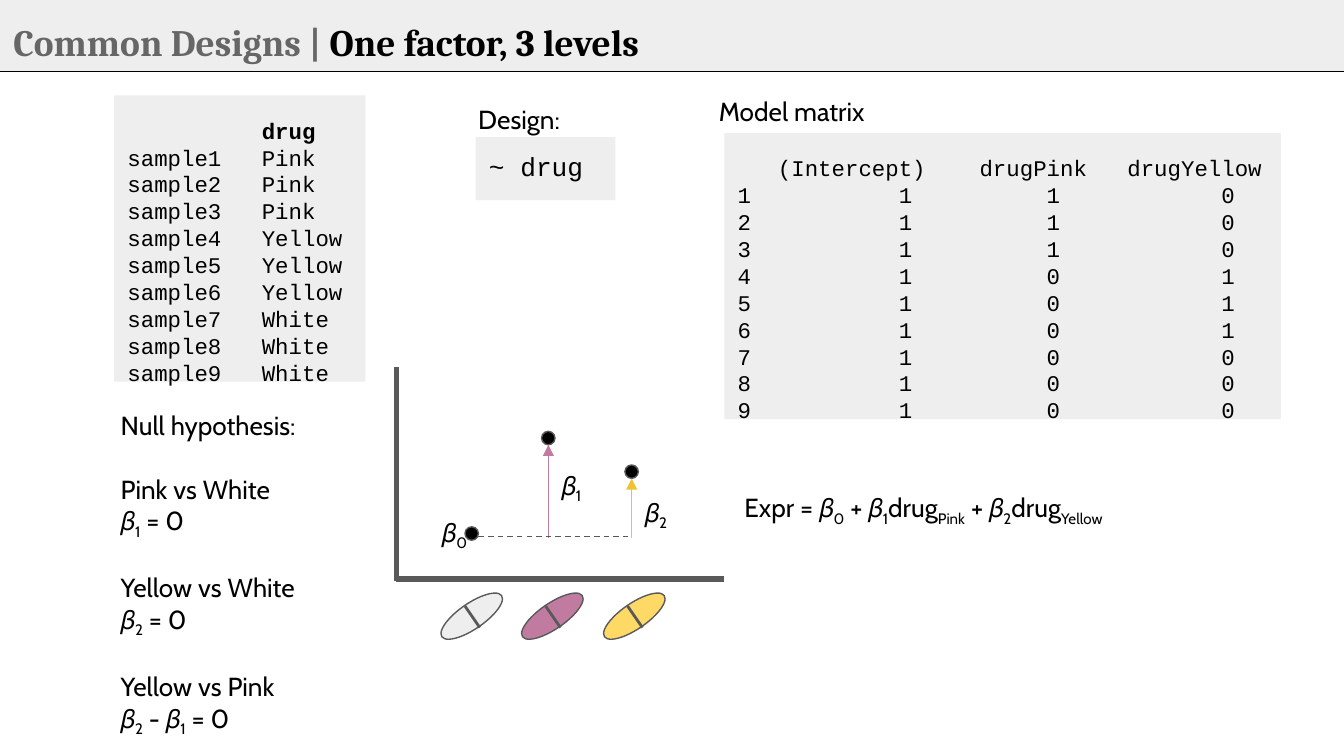
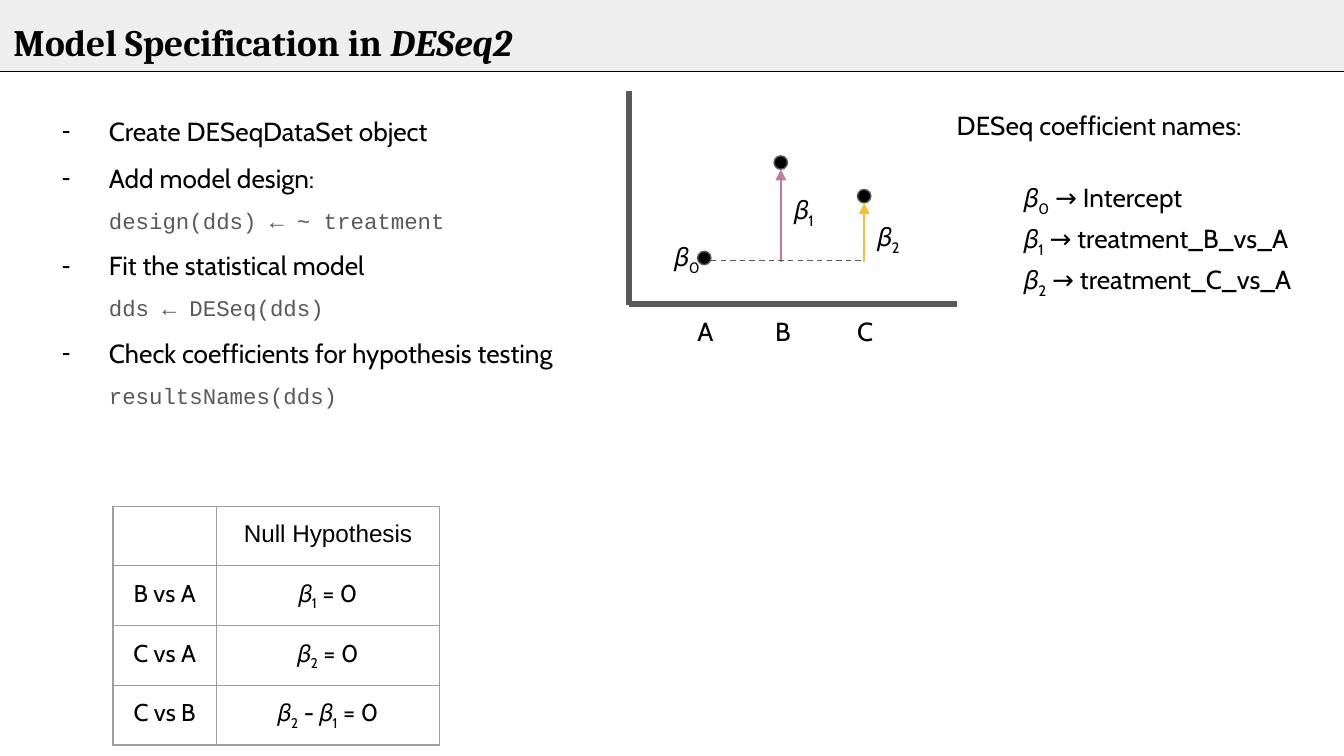
from dataclasses import dataclass, replace

import pptx
import pptx.dml.color
import pptx.enum.dml
import pptx.enum.shapes
import pptx.enum.text
import pptx.oxml
import pptx.oxml.ns
import pptx.util
from lxml import etree

qn = pptx.oxml.ns.qn
SHAPE = pptx.enum.shapes.MSO_SHAPE
ALIGN = pptx.enum.text.PP_ALIGN
EMU_PER_PX = 9144  # 100 px to the inch
CHAR = 10  # width of one 12 pt monospace character in px


@dataclass(frozen=True)
class Style:
    font: str
    size: int
    color: str = "000000"
    bold: bool = False
    italic: bool = False


@dataclass(frozen=True)
class Theme:
    ink: str = "000000"
    panel: str = "EEEEEE"
    axis: str = "595959"
    border: str = "9E9E9E"
    pink: str = "C27BA0"
    gold: str = "F1C232"
    yellow: str = "FFD966"
    title: Style = Style("Cambria", 20, bold=True)
    muted_title: Style = Style("Cambria", 20, "666666", bold=True)
    body: Style = Style("Cabin", 14)
    cell: Style = Style("Cabin", 13)
    cell_head: Style = Style("Arial", 13)
    formula: Style = Style("Courier New", 14)
    mono: Style = Style("Courier New", 12)
    code: Style = Style("Courier New", 12, "595959")


THEME = Theme()


def px(length):
    return pptx.util.Emu(length * EMU_PER_PX)


def rgb(color):
    return pptx.dml.color.RGBColor.from_string(color)


# Text

def add_span(para, text, style, subscript=False):
    span = para.add_run()
    span.text = text
    font = span.font
    font.name, font.size = style.font, pptx.util.Pt(style.size)
    font.bold, font.italic = style.bold, style.italic
    font.color.rgb = rgb(style.color)
    props = span._r.get_or_add_rPr()
    for tag in ("a:ea", "a:cs"):
        etree.SubElement(props, qn(tag), typeface=style.font)
    if subscript:
        props.set("baseline", "-25000")


def write_para(para, text, style):
    """Write one paragraph; text in braces becomes a subscript."""
    para.alignment = ALIGN.LEFT
    para.space_before = pptx.util.Pt(0)
    for index, part in enumerate(text.replace("{", "}").split("}")):
        if part:
            add_span(para, part, style, subscript=index % 2 == 1)
    if not text:
        etree.SubElement(para._p, qn("a:endParaRPr"), sz=str(style.size * 100))


def write_lines(frame, lines, style):
    for index, line in enumerate(lines):
        para = frame.add_paragraph() if index else frame.paragraphs[0]
        write_para(para, line, style)


def prepare_frame(frame, margin_top=10):
    frame.word_wrap = True
    frame.auto_size = pptx.enum.text.MSO_AUTO_SIZE.NONE
    frame.vertical_anchor = pptx.enum.text.MSO_ANCHOR.TOP
    frame.margin_left = frame.margin_right = frame.margin_bottom = px(10)
    frame.margin_top = px(margin_top)


def set_indent(para, left, first, bullet=None):
    props = para._p.get_or_add_pPr()
    props.set("marL", str(px(left)))
    props.set("indent", str(px(first)))
    if bullet:
        etree.SubElement(props, qn("a:buChar"), char=bullet)
    else:
        etree.SubElement(props, qn("a:buNone"))


def set_tabs(para, columns):
    tabs = etree.SubElement(para._p.get_or_add_pPr(), qn("a:tabLst"))
    for column in columns:
        etree.SubElement(tabs, qn("a:tab"), pos=str(px(column * CHAR)), algn="l")


def add_text(page, left, top, width, height, lines):
    box = page.shapes.add_textbox(px(left), px(top), px(width), px(height))
    prepare_frame(box.text_frame)
    write_lines(box.text_frame, lines, THEME.body)
    return box.text_frame.paragraphs


# Shapes and lines

def add_shape(shapes, kind, left, top, width, height, fill, outline=None):
    shape = shapes.add_shape(kind, px(left), px(top), px(width), px(height))
    shape.shadow.inherit = False
    shape.fill.solid()
    shape.fill.fore_color.rgb = rgb(fill)
    if outline:
        shape.line.color.rgb = rgb(outline)
        shape.line.width = pptx.util.Pt(0.75)
    else:
        shape.line.fill.background()
    return shape


def add_line(shapes, start, end, color, width=0.75, dashed=False, arrow=False):
    line = shapes.add_connector(pptx.enum.shapes.MSO_CONNECTOR.STRAIGHT,
                                *map(px, start), *map(px, end))
    line.line.color.rgb = rgb(color)
    line.line.width = pptx.util.Pt(width)
    if dashed:
        line.line.dash_style = pptx.enum.dml.MSO_LINE_DASH_STYLE.DASH
    if arrow:
        etree.SubElement(line.line._get_or_add_ln(), qn("a:tailEnd"), type="triangle")
    etree.SubElement(line.element.spPr, qn("a:effectLst"))
    return line


def add_panel(page, left, top, width, height, lines, style, margin_top=10):
    panel = add_shape(page.shapes, SHAPE.RECTANGLE, left, top, width, height, THEME.panel)
    prepare_frame(panel.text_frame, margin_top)
    write_lines(panel.text_frame, lines, style)
    return panel.text_frame.paragraphs


def add_pill(page, left, top, color):
    pill = page.shapes.add_group_shape().shapes
    add_shape(pill, SHAPE.OVAL, left, top, 54, 19, color, THEME.axis).rotation = 325.5
    add_line(pill, (left + 22, top + 2), (left + 33, top + 18), THEME.axis, 1.5)


def add_effects_plot(page, left, base):
    """Draw three group means and their coefficients; (left, base) is the origin."""
    shapes = page.shapes
    add_line(shapes, (left, base), (left + 244, base), THEME.axis, 3)
    add_line(shapes, (left, base + 1), (left, base - 158), THEME.axis, 3)
    # Mean (x, height), label (x, height) and arrow colour of each group
    groups = (((56, 34), (24, 57), None),
              ((113, 105), (113, 92), THEME.pink),
              ((175, 80), (175, 72), THEME.gold))
    for index, ((x, height), (label_x, label_height), color) in enumerate(groups):
        center, middle = left + x, base - height
        add_shape(shapes, SHAPE.OVAL, center - 5, middle - 5, 10, 10, THEME.ink, THEME.axis)
        add_text(page, left + label_x, base - label_height, 54, 47, [f"𝛽{{{index}}}"])
        if color:
            add_line(shapes, (center, base - 31), (center, middle + 5), color, arrow=True)
    add_line(shapes, (left + 61, base - 32), (left + 175, base - 32), THEME.axis, dashed=True)


# Tables

def add_table(page, left, top, widths, heights, rows):
    table = page.shapes.add_table(len(rows), len(widths), px(left), px(top),
                                  px(sum(widths)), px(sum(heights))).table
    table.first_row = table.horz_banding = False
    for column, width in zip(table.columns, widths):
        column.width = px(width)
    for index, (row, height, texts) in enumerate(zip(table.rows, heights, rows)):
        row.height = px(height)
        for cell, text in zip(row.cells, texts):
            cell.margin_left = cell.margin_right = px(10)
            cell.margin_top = cell.margin_bottom = px(10)
            write_para(cell.text_frame.paragraphs[0], text,
                       THEME.cell if index else THEME.cell_head)
            cell.text_frame.paragraphs[0].alignment = ALIGN.CENTER
            add_borders(cell)
            cell.fill.background()


def add_borders(cell):
    props = cell._tc.get_or_add_tcPr()
    for side in ("a:lnL", "a:lnR", "a:lnT", "a:lnB"):
        line = etree.SubElement(props, qn(side), w=str(pptx.util.Pt(0.75)))
        fill = etree.SubElement(line, qn("a:solidFill"))
        etree.SubElement(fill, qn("a:srgbClr"), val=THEME.border)


# Shared slide frame

def add_header_to_master(deck, page):
    """Build the header band on a page, then move it to the slide master."""
    band = add_shape(page.shapes, SHAPE.RECTANGLE, 0, 0, 1000, 53, THEME.panel)
    rule = add_line(page.shapes, (-1, 53), (1001, 53), THEME.ink)
    for index, part in enumerate((band, rule)):
        part.element.xpath(".//p:cNvPr")[0].set("id", str(100 + index))
        deck.slide_master.shapes.element.insert(2 + index, part.element)


def place(shape, left, top, width, height):
    shape.left, shape.top = px(left), px(top)
    shape.width, shape.height = px(width), px(height)
    prepare_frame(shape.text_frame)


def add_page(deck, layout, title_parts):
    page = deck.slides.add_slide(deck.slide_layouts[layout])
    title = page.shapes.title
    place(title, 0, 4, 932, 63)
    para = title.text_frame.paragraphs[0]
    for text, style in title_parts:
        add_span(para, text, style)
    para.alignment = ALIGN.LEFT
    return page


def add_steps(body, steps):
    """Fill the body with dashed steps, each with an optional line of code."""
    place(body, 21, 64, 605, 242)
    frame = body.text_frame
    lines = [(text, is_code) for step in steps for is_code, text in enumerate(step)]
    for index, (text, is_code) in enumerate(lines):
        para = frame.add_paragraph() if index else frame.paragraphs[0]
        write_para(para, text, THEME.code if is_code else THEME.body)
        para.line_spacing = 1.5
        if is_code:
            set_indent(para, 50, 0)
        else:
            set_indent(para, 50, -35, "-")


# Slides

def build_one_factor(deck):
    page = add_page(deck, 5, [("Common Designs | ", THEME.muted_title),
                              ("One factor, 3 levels", THEME.title)])
    add_header_to_master(deck, page)

    # Design and model matrix
    drugs = [drug for drug in ("Pink", "Yellow", "White") for _ in range(3)]
    add_text(page, 346, 67, 91, 47, ["Design:"])
    add_panel(page, 354, 102, 104, 47, ["~ drug"], THEME.formula)
    add_text(page, 544, 356, 331, 47,
             ["Expr = 𝛽{0} + 𝛽{1}drug{Pink} + 𝛽{2}drug{Yellow}"])
    matrix = ["\t(Intercept)\tdrugPink\tdrugYellow"]
    matrix += [f"{number}\t1\t{int(drug == 'Pink')}\t{int(drug == 'Yellow')}"
               for number, drug in enumerate(drugs, 1)]
    paras = add_panel(page, 539, 99, 414, 213, matrix, THEME.mono, margin_top=16)
    for index, para in enumerate(paras):
        set_tabs(para, (12, 23, 36) if index else (3, 18, 29))
    add_text(page, 525, 61, 160, 57, ["Model matrix"])

    # Samples
    samples = ["\tdrug"] + [f"sample{number}\t{drug}" for number, drug in enumerate(drugs, 1)]
    paras = add_panel(page, 85, 71, 187, 213, samples, THEME.mono, margin_top=16)
    for para in paras:
        set_tabs(para, (10,))
    paras[0].runs[0].font.bold = True

    # Plot and hypotheses
    add_effects_plot(page, 295, 431)
    paras = add_text(page, 80, 295, 196, 247, [
        "Null hypothesis:",
        "Pink vs White", "𝛽{1} = 0",
        "Yellow vs White", "𝛽{2} = 0",
        "Yellow vs Pink", "𝛽{2} - 𝛽{1} = 0"])
    for para in paras[1::2]:
        para.space_before = pptx.util.Pt(17)
    for index, color in enumerate((THEME.panel, THEME.pink, THEME.yellow)):
        add_pill(page, 324 + 121 * index // 2, 449, color)


def build_specification(deck):
    page = add_page(deck, 1, [("Model Specification in ", THEME.title),
                              ("DESeq2", replace(THEME.title, italic=True))])
    add_steps(page.placeholders[1], [
        ("Create DESeqDataSet object",),
        ("Add model design:", "design(dds) ← ~ treatment"),
        ("Fit the statistical model", "dds ← DESeq(dds)"),
        ("Check coefficients for hypothesis testing", "resultsNames(dds)")])

    # Plot with its group names
    add_effects_plot(page, 468, 226)
    for name, left in zip("ABC", (509, 567, 628)):
        add_text(page, left, 225, 33, 44, [name])

    # Coefficient names
    paras = add_text(page, 702, 68, 301, 179, [
        "DESeq coefficient names:", "𝛽{0} → Intercept",
        "𝛽{1} → treatment_B_vs_A", "𝛽{2} → treatment_C_vs_A"])
    for para in paras:
        para.line_spacing = 1.15
    for para in paras[1:]:
        set_indent(para, 50, 0)
    paras[1].space_before = pptx.util.Pt(19)

    add_table(page, 84, 377, (77, 166), (44, 43, 43, 44), [
        ("", "Null Hypothesis"),
        ("B vs A", "𝛽{1} = 0"),
        ("C vs A", "𝛽{2} = 0"),
        ("C vs B", "𝛽{2} - 𝛽{1} = 0")])


def main():
    deck = pptx.Presentation()
    deck.slide_width = px(1000)
    deck.slide_height = deck.slide_width * 9 // 16
    build_one_factor(deck)
    build_specification(deck)
    deck.save("out.pptx")


if __name__ == "__main__":
    main()
